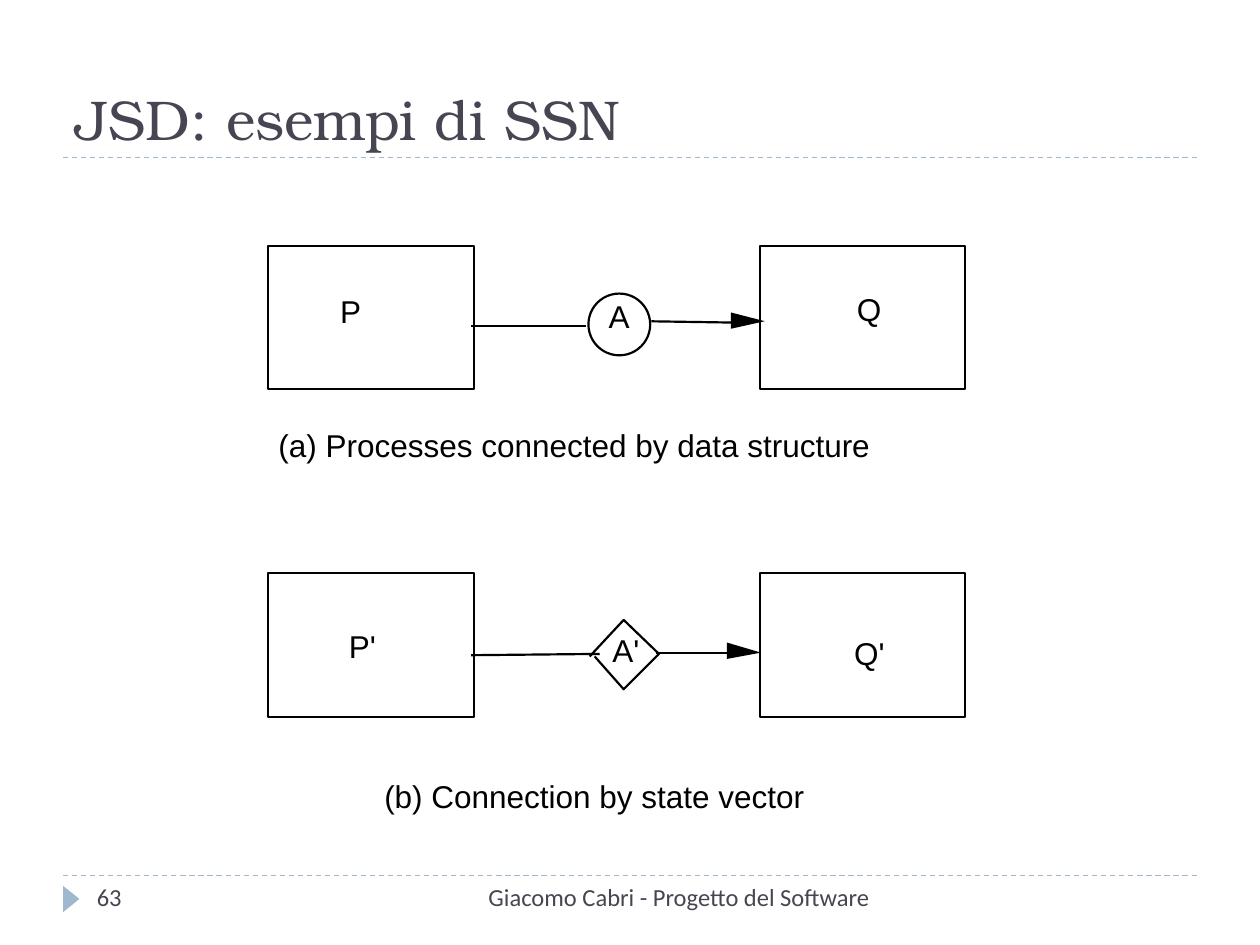
from dataclasses import dataclass

from lxml import etree
from pptx import Presentation
from pptx.dml.color import RGBColor
from pptx.enum.dml import MSO_LINE
from pptx.enum.shapes import MSO_CONNECTOR, MSO_SHAPE
from pptx.enum.text import MSO_ANCHOR, PP_ALIGN
from pptx.oxml.ns import qn
from pptx.util import Inches, Pt

RECTANGLE, OVAL = MSO_SHAPE.RECTANGLE, MSO_SHAPE.OVAL
TRIANGLE = MSO_SHAPE.ISOSCELES_TRIANGLE
STRAIGHT, DASH = MSO_CONNECTOR.STRAIGHT, MSO_LINE.DASH
LEFT, RIGHT = PP_ALIGN.LEFT, PP_ALIGN.RIGHT
TOP, BOTTOM = MSO_ANCHOR.TOP, MSO_ANCHOR.BOTTOM

# The slide is a grid of 100 columns by 75 rows
COLUMNS, ROWS = 100, 75
CELL = Inches(10) // COLUMNS

BLACK, WHITE, SLATE, PALE_BLUE = "000000", "FFFFFF", "464653", "9FB8CD"
LINE_WIDTH = 1.25
FONTS = {
    "title": {"name": "TeX Gyre Bonum", "size": Pt(32)},
    "footer": {"name": "Calibri", "size": Pt(14)},
    "diagram": {"name": "Arial", "size": Pt(18)},
}
FRAMES = {
    "title": {"word_wrap": True, "vertical_anchor": BOTTOM},
    "footer": {"word_wrap": True, "vertical_anchor": TOP},
    "diagram": {"word_wrap": True, "vertical_anchor": TOP, "margin_left": 0,
                "margin_right": 0, "margin_top": 0, "margin_bottom": 0},
}
Point = tuple[float, float]


@dataclass
class Box:
    column: float
    row: float
    width: float
    height: float

    def lengths(self) -> list[int]:
        return [grid(value) for value in
                (self.column, self.row, self.width, self.height)]


@dataclass
class Label:
    text: str
    box: Box
    style: str = "diagram"
    color: str = BLACK
    align: PP_ALIGN = LEFT


@dataclass
class Line:
    start: Point
    end: Point
    color: str = BLACK
    width: float = LINE_WIDTH
    dashed: bool = False


def grid(value: float) -> int:
    return round(value * CELL)


def rgb(color: str) -> RGBColor:
    return RGBColor.from_string(color)


def apply(target, values: dict) -> None:
    for name, value in values.items():
        setattr(target, name, value)


def paint(shape, fill: str | None, line: str | None) -> None:
    shape.shadow.inherit = False
    if fill:
        shape.fill.solid()
        shape.fill.fore_color.rgb = rgb(fill)
    else:
        shape.fill.background()
    if line:
        shape.line.color.rgb = rgb(line)
        shape.line.width = Pt(LINE_WIDTH)
    else:
        shape.line.fill.background()


def draw_shape(slide, kind: MSO_SHAPE, box: Box, fill: str, line: str | None,
               rotation: float = 0) -> None:
    shape = slide.shapes.add_shape(kind, *box.lengths())
    shape.rotation = rotation
    paint(shape, fill, line)


def draw_outline(slide, points: list[Point], closed: bool, fill: str | None,
                 line: str | None) -> None:
    start, *others = [(grid(x), grid(y)) for x, y in points]
    builder = slide.shapes.build_freeform(*start, scale=1.0)
    builder.add_line_segments(others, close=closed)
    paint(builder.convert_to_shape(), fill, line)


def draw_line(slide, line: Line) -> None:
    ends = [grid(value) for value in (*line.start, *line.end)]
    connector = slide.shapes.add_connector(STRAIGHT, *ends)
    connector.line.color.rgb = rgb(line.color)
    connector.line.width = Pt(line.width)
    if line.dashed:
        connector.line.dash_style = DASH
    etree.SubElement(connector._element.spPr, qn("a:effectLst"))


def draw_label(slide, label: Label) -> None:
    frame = slide.shapes.add_textbox(*label.box.lengths()).text_frame
    apply(frame, FRAMES[label.style])
    paragraph = frame.paragraphs[0]
    paragraph.alignment = label.align
    run = paragraph.add_run()
    run.text = label.text
    apply(run.font, FONTS[label.style])
    run.font.color.rgb = rgb(label.color)


def draw_arrow(slide, start: Point, neck: Point, tip: Point,
               top: float, bottom: float) -> None:
    draw_line(slide, Line(start, neck))
    draw_outline(slide, [tip, (neck[0], bottom), (neck[0], top)],
                 True, BLACK, None)


presentation = Presentation()
presentation.slide_width = COLUMNS * CELL
presentation.slide_height = ROWS * CELL
slide = presentation.slides.add_slide(presentation.slide_layouts[6])

# Rules and footer marker
for rule_row in (69.5, 12.5):
    draw_line(slide, Line((5, rule_row), (95, rule_row), PALE_BLUE, 0.75, True))
draw_shape(slide, TRIANGLE, Box(4.6, 70.7, 2.1, 1.3), PALE_BLUE, None, 90)

# Process boxes
for process_row in (19.5, 45.5):
    for process_column in (21.3, 60.3):
        draw_shape(slide, RECTANGLE,
                   Box(process_column, process_row, 16.3, 11.4), WHITE, BLACK)

# Data stream and state vector
draw_shape(slide, OVAL, Box(46.7, 23.3, 4.9, 4.9), WHITE, BLACK)
draw_outline(slide, [(46.8, 52.1), (49.5, 49.2), (52.3, 51.9), (49.5, 54.7),
                     (47.2, 52.1)], False, None, BLACK)

# Connections
draw_line(slide, Line((46.5, 25.9), (37.4, 25.9)))
draw_line(slide, Line((47.6, 51.9), (37.4, 52)))
draw_arrow(slide, (51.7, 25.5), (58, 25.6), (60.7, 25.5), 24.8, 26.1)
draw_arrow(slide, (52.1, 51.8), (57.7, 51.8), (60.4, 51.8), 51, 52.3)

# Wording
LABELS = [
    Label("JSD: esempi di SSN", Box(5, 2.5, 90, 10), "title", SLATE),
    Label("Giacomo Cabri - Progetto del Software",
          Box(31.7, 69.5, 38.3, 4), "footer", SLATE, RIGHT),
    Label("63", Box(6.7, 69.5, 21.7, 4), "footer", SLATE),
    Label("P", Box(27, 23.2, 3.1, 3.6)),
    Label("A", Box(48.3, 23.6, 2.9, 3.6)),
    Label("Q", Box(68, 23, 3.4, 3.6)),
    Label("(a) Processes connected by data structure",
          Box(22.1, 33.8, 54.8, 4)),
    Label("P'", Box(27.7, 49.8, 3.6, 3.6)),
    Label("A'", Box(48.6, 50.1, 3.4, 3.6)),
    Label("Q'", Box(67.8, 50.3, 4, 3.6)),
    Label("(b) Connection by state vector", Box(30.5, 61.7, 40.3, 4)),
]
for label in LABELS:
    draw_label(slide, label)

presentation.save("out.pptx")
